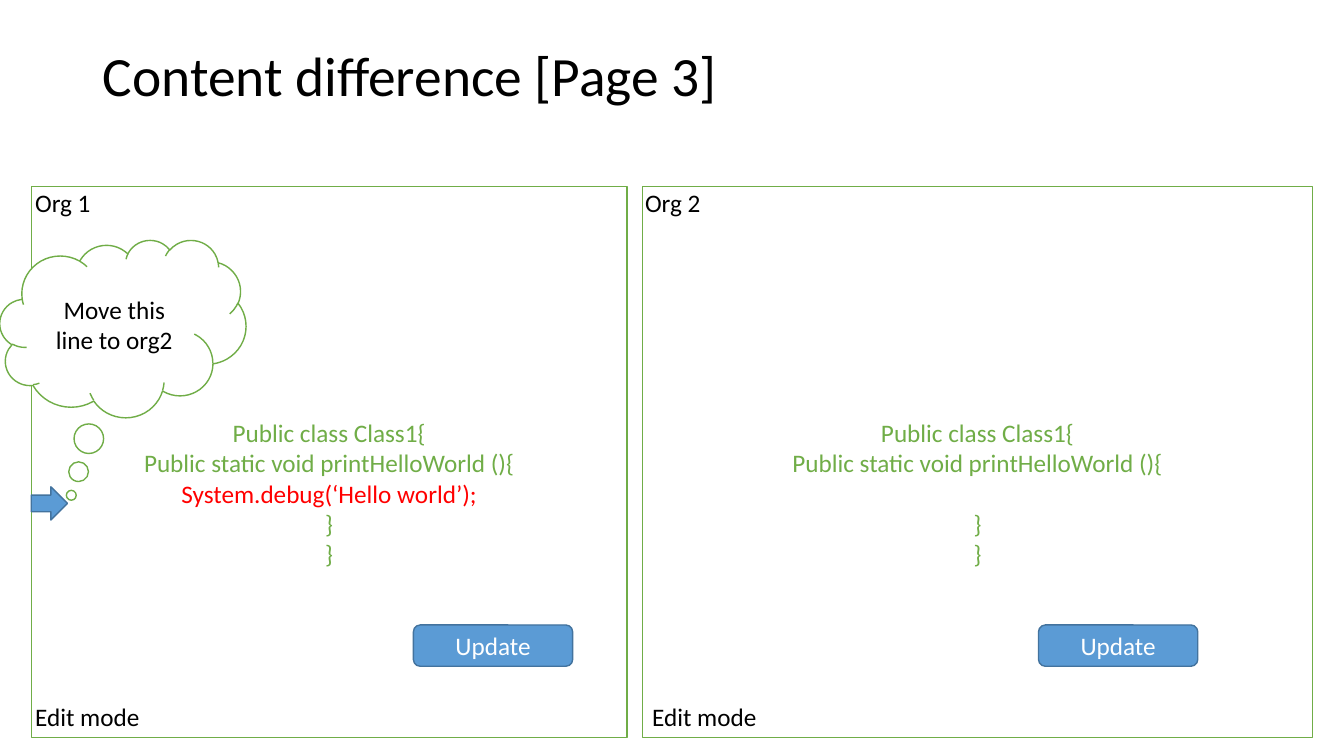
"""Build the content difference slide with two editable code panels."""
from pptx import Presentation
from pptx.dml.color import RGBColor
from pptx.enum import shapes, text
from pptx.util import Inches, Pt

COLORS = {"black": "000000", "white": "FFFFFF", "green": "70AD47",
          "red": "FF0000", "blue": "5B9BD5", "navy": "43739E"}
FONT = "Calibri"
TITLE = "Content difference [Page 3]"
MOVE_NOTE = "Move this line to org2"
MOVED_LINE = "System.debug(‘Hello world’);"
HEAD = ["Public class Class1{", "Public static void printHelloWorld (){"]
TAIL = ["}", "}"]
PANELS = [
    {"name": "Org 1", "left": 0.31, "width": 5.91, "label_left": 0.25,
     "mode_left": 0.25, "button_left": 4.1, "code": HEAD + [MOVED_LINE] + TAIL},
    {"name": "Org 2", "left": 6.37, "width": 6.65, "label_left": 6.3,
     "mode_left": 6.37, "button_left": 10.3, "code": HEAD + TAIL},
]
PANEL_TOP, PANEL_HEIGHT = 1.85, 5.47
CODE_TOP_INSET = 0.66
MISSING_LINE_GAP = 22


def rgb(name):
    return RGBColor.from_string(COLORS[name])


def style(p, color, size=18, align=text.PP_ALIGN.CENTER):
    p.alignment = align
    for r in p.runs:
        r.font.name, r.font.size = FONT, Pt(size)
        r.font.color.rgb = rgb(color)


def add_box(s, kind, box, fill, line, label="", color="black"):
    sp = s.shapes.add_shape(kind, *map(Inches, box))
    sp.shadow.inherit = False
    sp.fill.solid()
    sp.fill.fore_color.rgb = rgb(fill)
    sp.line.color.rgb = rgb(line)
    sp.line.width = Pt(1)
    tf = sp.text_frame
    tf.vertical_anchor = text.MSO_ANCHOR.MIDDLE
    if label:
        tf.text = label
        for p in tf.paragraphs:
            style(p, color)
    return sp


def add_label(s, label, left, top, width):
    tf = s.shapes.add_textbox(*map(Inches, (left, top, width, 0.4))).text_frame
    tf.word_wrap = True
    tf.text = label
    style(tf.paragraphs[0], "black", align=text.PP_ALIGN.LEFT)


def add_title(s):
    sp = s.shapes.title
    sp.left, sp.top, sp.width, sp.height = map(Inches, (0.92, 0.4, 11.5, 0.75))
    tf = sp.text_frame
    tf.text = TITLE
    tf.vertical_anchor = text.MSO_ANCHOR.MIDDLE
    tf.paragraphs[0].line_spacing = 0.9
    style(tf.paragraphs[0], "black", 39.6, text.PP_ALIGN.LEFT)


def add_panel(s, panel):
    box = panel["left"], PANEL_TOP, panel["width"], PANEL_HEIGHT
    sp = add_box(s, shapes.MSO_SHAPE.RECTANGLE, box, "white", "green",
                 "\n".join(panel["code"]), "green")
    tf = sp.text_frame
    tf.margin_top = Inches(CODE_TOP_INSET)
    following = tf.paragraphs[len(HEAD)]
    if MOVED_LINE in panel["code"]:
        style(following, "red")
    else:
        following.space_before = Pt(MISSING_LINE_GAP)


def main():
    prs = Presentation()
    prs.slide_width, prs.slide_height = Inches(13.33), Inches(7.5)
    s = prs.slides.add_slide(prs.slide_layouts[5])
    add_title(s)
    for panel in PANELS:
        add_panel(s, panel)
    add_box(s, shapes.MSO_SHAPE.RIGHT_ARROW, (0.31, 4.83, 0.36, 0.33), "blue", "navy")
    for panel in PANELS:
        add_label(s, panel["name"], panel["label_left"], 1.81, 2.23)
    cloud = add_box(s, shapes.MSO_SHAPE.CLOUD_CALLOUT, (0, 2.38, 2.44, 1.76),
                    "white", "green", MOVE_NOTE)
    cloud.adjustments[0], cloud.adjustments[1] = -0.21, 0.94
    for panel in PANELS:
        add_label(s, "Edit mode", panel["mode_left"], 6.91, 4.19)
        add_box(s, shapes.MSO_SHAPE.ROUNDED_RECTANGLE,
                (panel["button_left"], 6.2, 1.58, 0.41), "blue", "navy",
                "Update", "white")
    prs.save("out.pptx")


if __name__ == "__main__":
    main()
